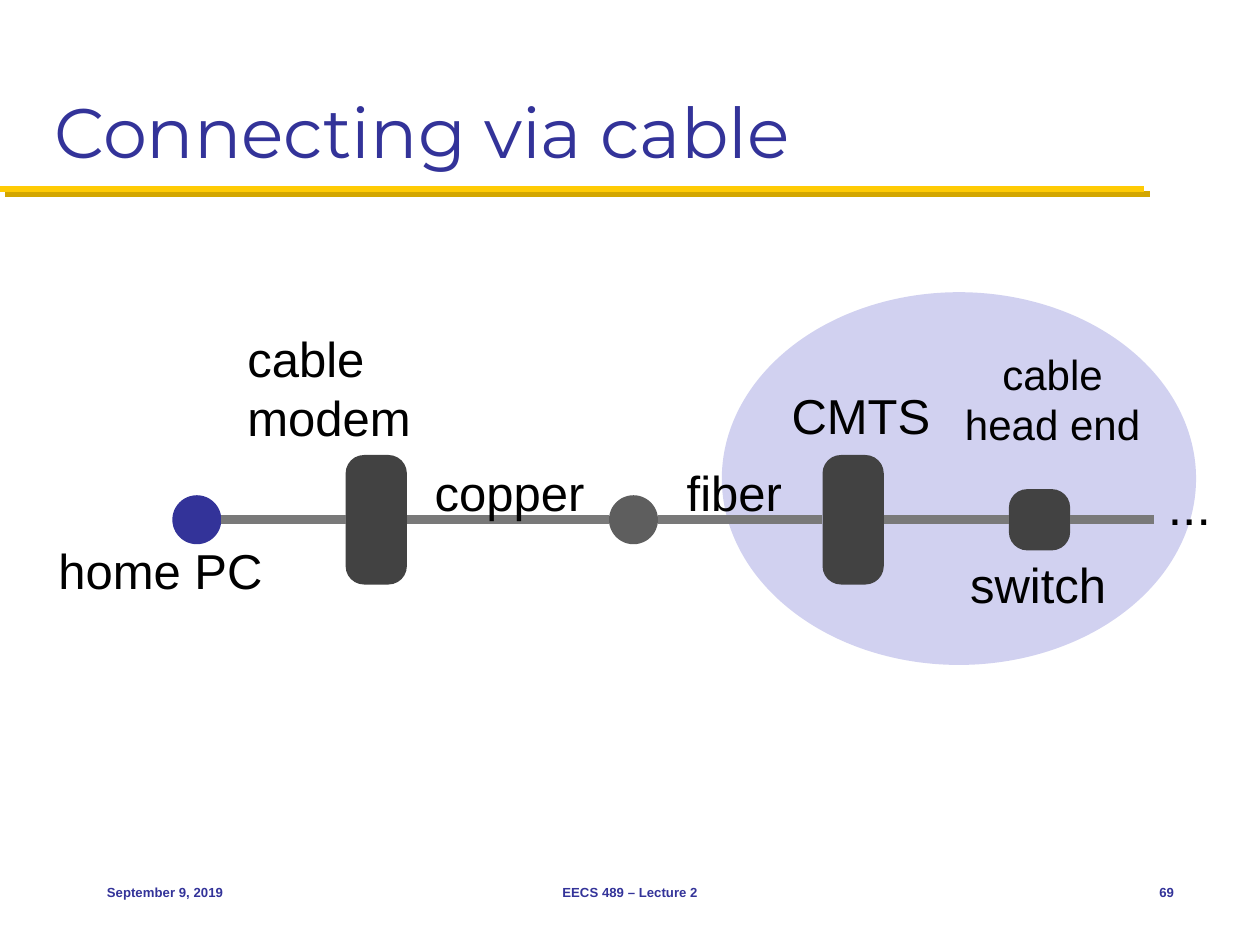
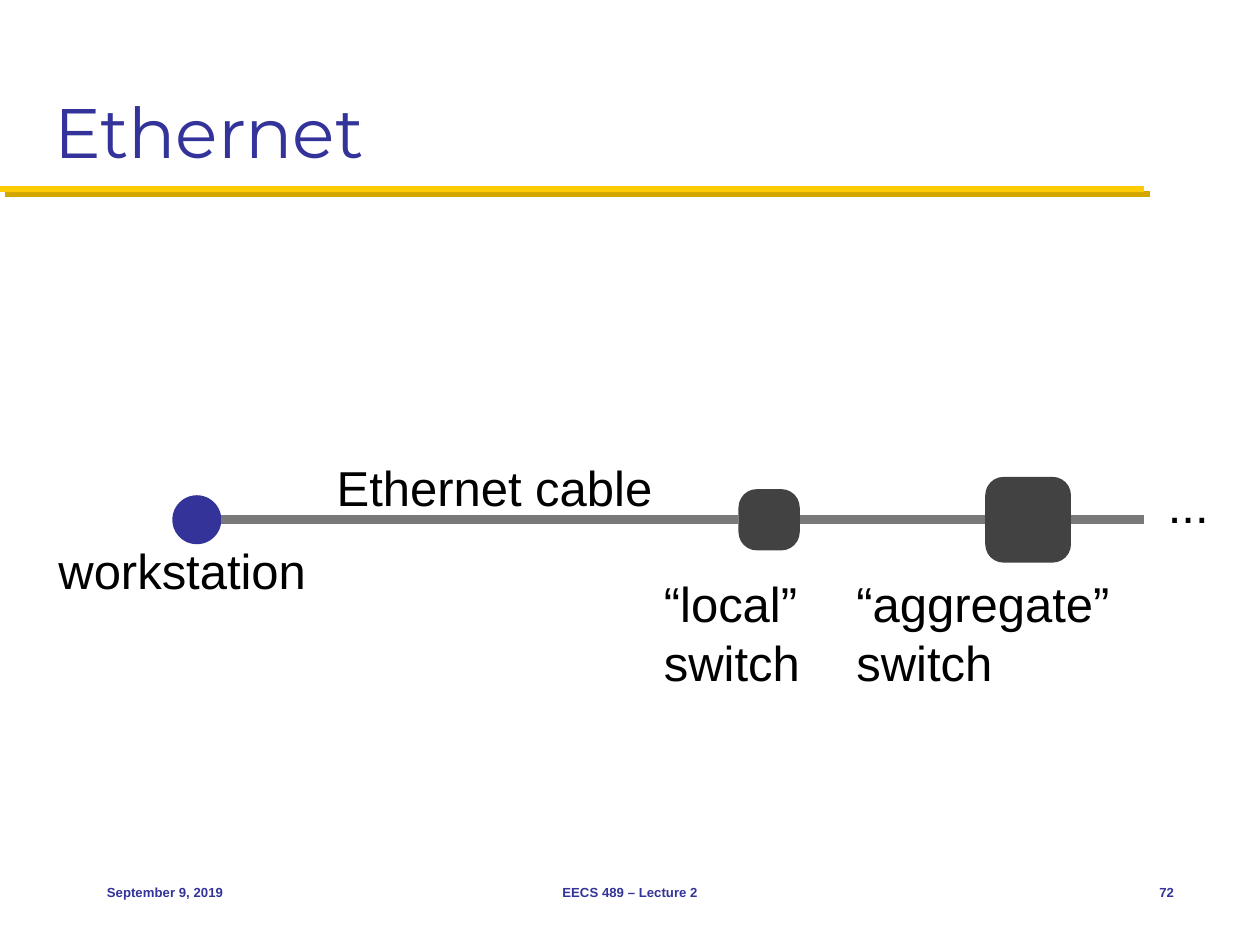
from lxml import etree
from pptx import Presentation
from pptx.dml.color import RGBColor
from pptx.enum import shapes, text
from pptx.oxml import ns
from pptx.util import Pt

NAVY = RGBColor(0x33, 0x33, 0x99)
MAIZE = RGBColor(0xFF, 0xCB, 0x05)
CHARCOAL = RGBColor(0x42, 0x42, 0x42)
GRAY = RGBColor(0x5E, 0x5E, 0x5E)
CABLE_GRAY = RGBColor(0x79, 0x79, 0x79)
LAVENDER = RGBColor(0xD1, 0xD1, 0xF0)
BLACK = RGBColor(0, 0, 0)

LEFT, CENTER, RIGHT = text.PP_ALIGN.LEFT, text.PP_ALIGN.CENTER, text.PP_ALIGN.RIGHT
MIDDLE, BOTTOM = text.MSO_ANCHOR.MIDDLE, text.MSO_ANCHOR.BOTTOM
OVAL, ROUNDED = shapes.MSO_SHAPE.OVAL, shapes.MSO_SHAPE.ROUNDED_RECTANGLE
CABLE_Y = 297
CORNER = 10.5
RULE_SHADOW = (
    f'<a:outerShdw {ns.nsdecls("a")} dist="53340" dir="2700000" algn="ctr" rotWithShape="0">'
    '<a:srgbClr val="D3A600"/></a:outerShdw>'
)


def add_text(slide, words, area, size, color=BLACK, font="Arial", align=LEFT,
             anchor=MIDDLE, insets=(2.9, 2.9), bold=False, spacing=None):
    box = slide.shapes.add_textbox(*map(Pt, area))
    frame = box.text_frame
    frame.word_wrap = True
    frame.vertical_anchor = anchor
    frame.margin_left = frame.margin_right = Pt(insets[0])
    frame.margin_top = frame.margin_bottom = Pt(insets[1])
    frame.text = words
    para = frame.paragraphs[0]
    para.alignment = align
    if spacing:
        para.line_spacing = Pt(spacing)
    span = para.runs[0].font
    span.name, span.size, span.bold = font, Pt(size), bold
    span.color.rgb = color


def add_line(slide, start_x, end_x, y, color, width):
    """Add a level line and return it with its empty effect list."""
    line = slide.shapes.add_connector(
        shapes.MSO_CONNECTOR.STRAIGHT, Pt(start_x), Pt(y), Pt(end_x), Pt(y))
    line.line.color.rgb = color
    line.line.width = Pt(width)
    effects = etree.SubElement(line._element.spPr, ns.qn("a:effectLst"))
    return line, effects


# Nodes: shape, left, width, height, colour, all centred on the cable.
# Labels: words, left, top, width, height, size, alignment.
HOME_NODE = (OVAL, 98.5, 28, 28, NAVY)
SLIDES = [
    {
        "title": "Connecting via cable",
        "number": "69",
        "head_end": (412.5, 167, 271, 213),
        "nodes": [
            HOME_NODE,
            (ROUNDED, 197.5, 35, 74, CHARCOAL),
            (OVAL, 348, 28, 28, GRAY),
            (ROUNDED, 470, 35, 74, CHARCOAL),
            (ROUNDED, 576.5, 35, 35, CHARCOAL),
        ],
        "cable_end": 659.5,
        "labels": [
            ("home PC", 30.5, 306, 165, 39.5, 28, LEFT),
            ("cable modem", 138.5, 184.5, 159, 73.5, 28, LEFT),
            ("copper", 245.5, 261.5, 100, 39.5, 28, LEFT),
            ("fiber", 389.5, 261.5, 68, 39.5, 28, LEFT),
            ("CMTS", 449.5, 217.5, 94, 39.5, 28, LEFT),
            ("cable head end", 543.5, 196, 116, 64, 24, CENTER),
            ("switch", 551.5, 314, 92, 39.5, 28, LEFT),
            ("...", 664.5, 268, 38, 41.5, 29.5, LEFT),
        ],
    },
    {
        "title": "Ethernet",
        "number": "72",
        "head_end": None,
        "nodes": [
            HOME_NODE,
            (ROUNDED, 422, 35, 35, CHARCOAL),
            (ROUNDED, 563, 49, 49, CHARCOAL),
        ],
        "cable_end": 654,
        "labels": [
            ("workstation", 30.5, 306, 165, 39.5, 28, LEFT),
            ("Ethernet cable", 189.5, 258.5, 195, 39.5, 28, LEFT),
            ("“local” switch", 376.5, 324.5, 124.5, 73.5, 28, LEFT),
            ("“aggregate” switch", 486.5, 324.5, 202.5, 73.5, 28, LEFT),
            ("...", 664.5, 268.5, 36, 39.5, 28, LEFT),
        ],
    },
]

deck = Presentation()
deck.slide_width, deck.slide_height = Pt(720), Pt(540)

for content in SLIDES:
    slide = deck.slides.add_slide(deck.slide_layouts[6])
    rule, rule_effects = add_line(slide, 0, 654, 108, MAIZE, 3.5)
    rule_effects.append(etree.fromstring(RULE_SHADOW))
    add_text(slide, content["title"], (24, 12, 672, 90), 40, NAVY, "Montserrat",
             anchor=BOTTOM, insets=(7.2, 3.6))

    # Network nodes, on top of the head end's oval
    outlines = []
    if content["head_end"]:
        outlines.append((OVAL, *content["head_end"], LAVENDER))
    for kind, left, width, height, color in content["nodes"]:
        outlines.append((kind, left, CABLE_Y - height / 2, width, height, color))
    drawn = []
    for kind, left, top, width, height, color in outlines:
        node = slide.shapes.add_shape(kind, Pt(left), Pt(top), Pt(width), Pt(height))
        node.shadow.inherit = False
        node.fill.solid()
        node.fill.fore_color.rgb = color
        node.line.fill.background()
        if kind == ROUNDED:
            node.adjustments[0] = CORNER / width
        drawn.append(node)

    # Cable from each node to the next, the last one running on to the dots
    nodes = content["nodes"]
    boxes = drawn[-len(nodes):]
    for i, (kind, left, width, height, color) in enumerate(nodes):
        is_last = i == len(nodes) - 1
        end_x = content["cable_end"] if is_last else nodes[i + 1][1]
        cable, _ = add_line(slide, left + width, end_x, CABLE_Y, CABLE_GRAY, 5)
        if kind == ROUNDED:
            cable.begin_connect(boxes[i], 3)
        if not is_last and nodes[i + 1][0] == ROUNDED:
            cable.end_connect(boxes[i + 1], 1)

    for words, left, top, width, height, size, align in content["labels"]:
        add_text(slide, words, (left, top, width, height), size, align=align,
                 spacing=size * 1.2)

    for words, left, width, align in [
        ("September 9, 2019", 54, 150, LEFT),
        ("EECS 489 – Lecture 2", 246, 228, CENTER),
        (content["number"], 630, 48, RIGHT),
    ]:
        add_text(slide, words, (left, 492, width, 36), 7.5, NAVY, align=align,
                 insets=(7.2, 3.6), bold=True)

deck.save("out.pptx")
